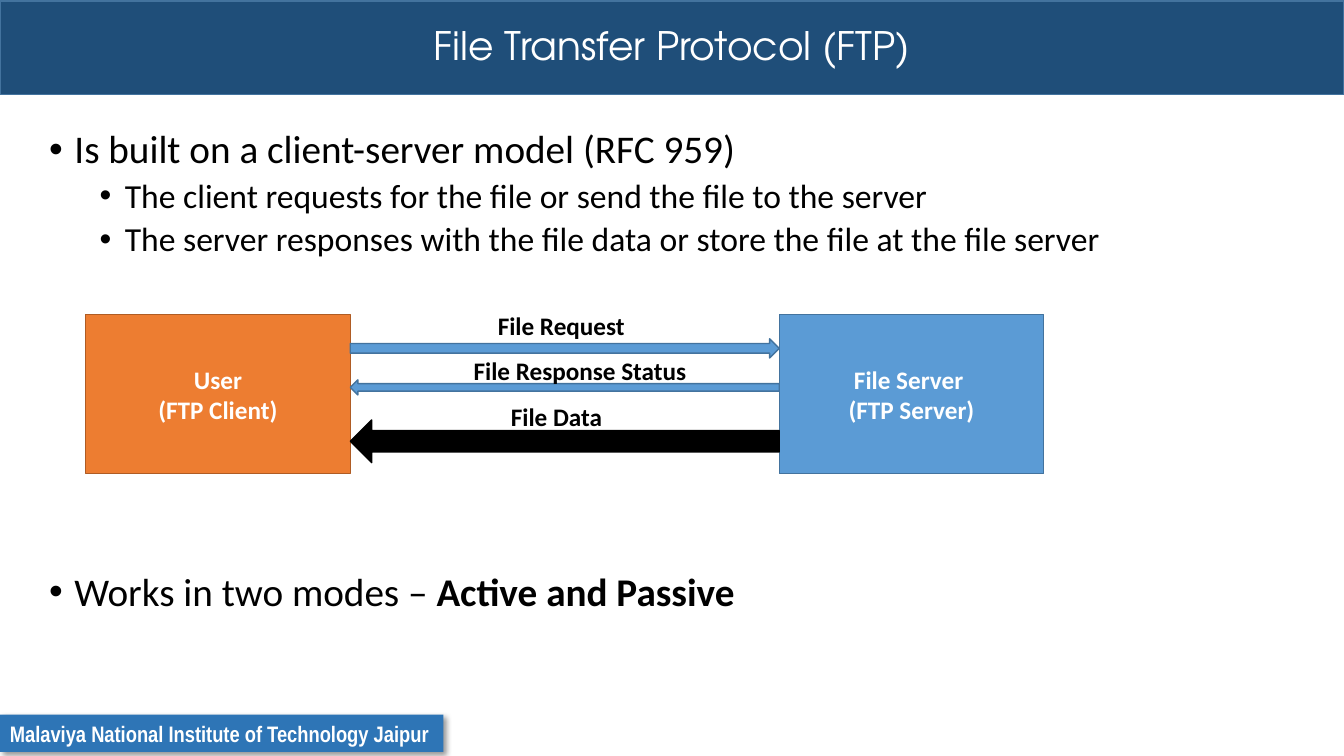
"""Build the File Transfer Protocol slide."""
from lxml import etree
from pptx import Presentation
from pptx.dml.color import RGBColor
from pptx.enum.shapes import MSO_SHAPE as SHAPE
from pptx.enum.text import MSO_ANCHOR as ANCHOR, PP_ALIGN as ALIGN
from pptx.oxml import parse_xml
from pptx.oxml.ns import nsdecls, qn
from pptx.util import Pt

WHITE = RGBColor(0xFF, 0xFF, 0xFF)
BLACK = RGBColor(0, 0, 0)
NAVY = RGBColor(0x1F, 0x4E, 0x79)
STEEL = RGBColor(0x43, 0x73, 0x9E)
BLUE = RGBColor(0x5B, 0x9B, 0xD5)
FOOTER_BLUE = RGBColor(0x2E, 0x75, 0xB6)
ORANGE = RGBColor(0xED, 0x7D, 0x31)
RUST = RGBColor(0xAF, 0x5C, 0x24)

TITLE = "File Transfer Protocol (FTP)"
FOOTER = "Malaviya National Institute of Technology Jaipur"
BULLETS = [
    (0, 0, [("Is built on a client-server model (RFC 959)", False)]),
    (1, 5, [("The client requests for the file or send the file to the server", False)]),
    (1, 5, [("The server responses with the file data or store the file at the file server", False)]),
    (0, 224, [("Works in two modes – ", False), ("Active and Passive", True)]),
]
LEVELS = [(18, 28), (54, 24)]
HOSTS = [
    (61.2, ORANGE, RUST, ["User", "(FTP Client)"]),
    (556.6, BLUE, STEEL, ["File Server ", "(FTP Server)"]),
]
HOST_TOP, HOST_W, HOST_H = 224.6, 189, 113.8
MESSAGES = [
    ("File Request", 348.5, 105.8, SHAPE.RIGHT_ARROW, 242, 13.7, BLUE, STEEL),
    ("File Response Status", 331.2, 167.8, SHAPE.LEFT_ARROW, 271.3, 10.8, BLUE, STEEL),
    ("File Data", 357.8, 80.6, SHAPE.LEFT_ARROW, 300, 30.5, BLACK, BLACK),
]
LABEL_TOP, LABEL_STEP, LABEL_H = 218.2, 32.4, 28.8
LABEL = dict(name="Calibri", size=Pt(18), bold=True)


def set_font(font, color, **values):
    for key, value in values.items():
        setattr(font, key, value)
    font.color.rgb = color


def paint(shape, fill, line=None):
    shape.fill.solid()
    shape.fill.fore_color.rgb = fill
    if line is None:
        shape.line.fill.background()
    else:
        shape.line.color.rgb = line
        shape.line.width = Pt(1)


def add_box(s, kind, box, fill, line=None):
    sp = s.shapes.add_shape(kind, *map(Pt, box))
    sp.shadow.inherit = False
    paint(sp, fill, line)
    return sp


def write_lines(sp, lines, align, color, **font):
    tf = sp.text_frame
    for i, line in enumerate(lines):
        p = tf.paragraphs[0] if i == 0 else tf.add_paragraph()
        p.alignment = align
        r = p.add_run()
        r.text = line
        set_font(r.font, color, **font)
    return tf


def add_title(s):
    sp = s.shapes.title
    for key, value in dict(left=0, top=0.7, width=960, height=67).items():
        setattr(sp, key, Pt(value))
    paint(sp, NAVY, STEEL)
    tf = write_lines(sp, [TITLE], ALIGN.CENTER, WHITE, name="TeX Gyre Adventor", size=Pt(28))
    tf.vertical_anchor = ANCHOR.MIDDLE
    tf.paragraphs[0].line_spacing = 0.9


def add_footer(s):
    sp = add_box(s, SHAPE.RECTANGLE, (0, 510.5, 316.8, 26.6), FOOTER_BLUE)
    tf = write_lines(sp, [FOOTER], ALIGN.LEFT, WHITE, name="Arial Narrow", size=Pt(16), bold=True)
    tf.word_wrap = False
    effects = sp._element.spPr.find(qn("a:effectLst"))
    effects.append(parse_xml(
        f'<a:outerShdw {nsdecls("a")} blurRad="{Pt(4)}" dist="{Pt(3)}" dir="2700000" algn="tl">'
        '<a:srgbClr val="000000"><a:alpha val="40000"/></a:srgbClr></a:outerShdw>'))


def add_bullets(s):
    tf = s.shapes.add_textbox(Pt(28.1), Pt(89.3), Pt(909.4), Pt(421.2)).text_frame
    tf.word_wrap = True
    for i, (level, before, runs) in enumerate(BULLETS):
        indent, size = LEVELS[level]
        p = tf.paragraphs[0] if i == 0 else tf.add_paragraph()
        p.level, p.line_spacing, p.space_before = level, 0.9, Pt(before)
        pPr = p._p.get_or_add_pPr()
        pPr.set("marL", str(Pt(indent)))
        pPr.set("indent", str(Pt(-18)))
        etree.SubElement(pPr, qn("a:buFont")).set("typeface", "Arial")
        etree.SubElement(pPr, qn("a:buChar")).set("char", "•")
        for text, bold in runs:
            r = p.add_run()
            r.text = text
            set_font(r.font, BLACK, name="Calibri", size=Pt(size), bold=bold)


def add_diagram(s):
    for left, fill, line, lines in HOSTS:
        sp = add_box(s, SHAPE.RECTANGLE, (left, HOST_TOP, HOST_W, HOST_H), fill, line)
        tf = write_lines(sp, lines, ALIGN.CENTER, WHITE, **LABEL)
        tf.vertical_anchor = ANCHOR.MIDDLE
    start = HOSTS[0][0] + HOST_W
    span = HOSTS[1][0] - start
    for i, (text, left, width, kind, top, height, fill, line) in enumerate(MESSAGES):
        add_box(s, kind, (start, top, span, height), fill, line)
        box = (left, LABEL_TOP + i * LABEL_STEP, width, LABEL_H)
        label = s.shapes.add_textbox(*map(Pt, box))
        write_lines(label, [text], ALIGN.LEFT, BLACK, **LABEL).word_wrap = False


def main():
    prs = Presentation()
    prs.slide_width, prs.slide_height = Pt(960), Pt(540)
    s = prs.slides.add_slide(prs.slide_layouts[5])
    add_title(s)
    add_footer(s)
    add_bullets(s)
    add_diagram(s)
    prs.save("out.pptx")


if __name__ == "__main__":
    main()
